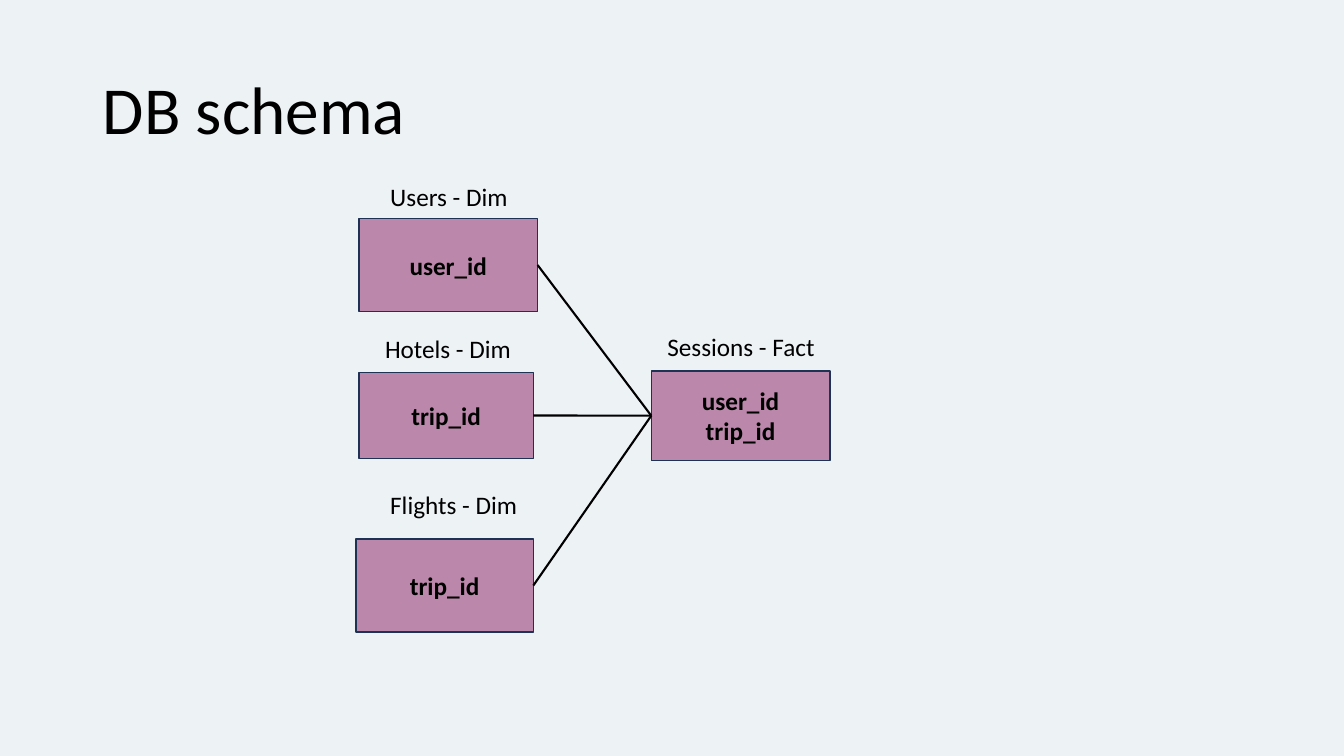
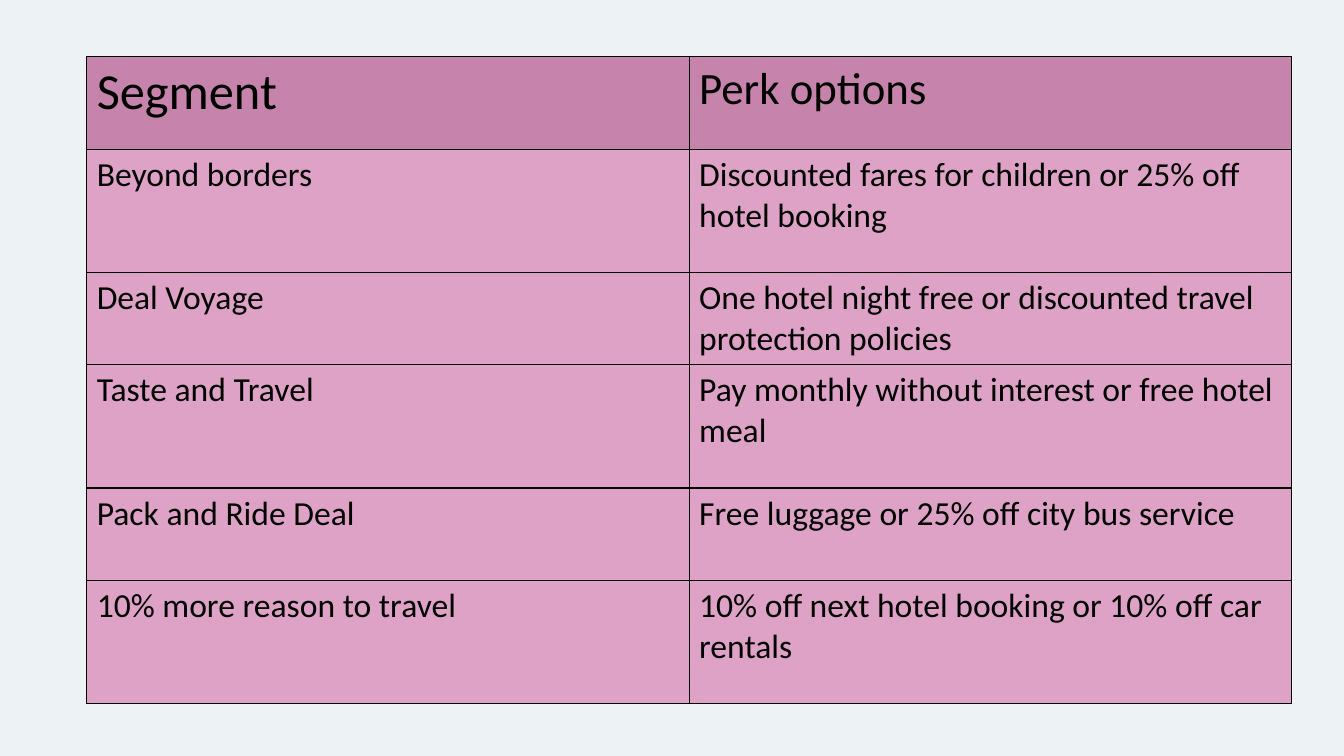
from lxml import etree
from pptx import Presentation, util as u
from pptx.dml.color import RGBColor
from pptx.enum import shapes, text
from pptx.oxml import ns

COLORS = {
    "background": "EDF2F5",
    "ink": "000000",
    "entity": "BB87AA",
    "outline": "1E3256",
    "header": "C683AB",
    "row": "DFA2C7",
}
FONT = "Calibri"
WIDTH, HEIGHT = u.Inches(13.33), u.Inches(7.5)
SLIDE_BOX = (0, 0, WIDTH, HEIGHT)

# Entities: keys, box and label position (left, top, width[, height]) in percent
# of the diagram; the last one is the fact table
LABEL_HEIGHT = 8.8
ENTITIES = [
    ("Users - Dim", ["user_id"], (0.6, 9.3, 37.7, 20.4), (5.1, 0, 29.4)),
    ("Hotels - Dim", ["trip_id"], (0.6, 43.1, 36.8, 18.8), (4, 33.4, 31.1)),
    ("Flights - Dim", ["trip_id"], (0, 79.6, 37.4, 20.4), (5.1, 67.7, 31.3)),
    ("Sessions - Fact", ["user_id", "trip_id"], (62.3, 42.7, 37.7, 19.7), (63.6, 33, 35.7)),
]

PERKS = [
    ("Segment", "Perk options"),
    ("Beyond borders", "Discounted fares for children or 25% off hotel booking"),
    ("Deal Voyage", "One hotel night free or discounted travel protection policies"),
    ("Taste and Travel", "Pay monthly without interest or free hotel meal"),
    ("Pack and Ride Deal", "Free luggage or 25% off city bus service"),
    ("10% more reason to travel", "10% off next hotel booking or 10% off car rentals"),
]
ROW_SHARES = [3, 4, 3, 4, 3, 4]
HEADER_SIZES = (36, 32)
BODY_SIZE = 24


def color(name):
    return RGBColor.from_string(COLORS[name])


def within(box, left, top, width, height):
    """Turn percentages of a box into an absolute box."""
    x, y, w, h = box
    return (int(x + w * left / 100), int(y + h * top / 100),
            int(w * width / 100), int(h * height / 100))


def paint(fill, name):
    fill.solid()
    fill.fore_color.rgb = color(name)


def write(frame, lines, size, bold=False, align=text.PP_ALIGN.LEFT):
    frame.text = "\n".join(lines)
    for paragraph in frame.paragraphs:
        paragraph.alignment = align
        font = paragraph.font
        font.name, font.size, font.bold = FONT, u.Pt(size), bold
        font.color.rgb = color("ink")


def add_title(slide, box, wording):
    title = slide.shapes.title
    title.left, title.top, title.width, title.height = box
    frame = title.text_frame
    frame.vertical_anchor = text.MSO_ANCHOR.MIDDLE
    write(frame, [wording], 48)
    frame.paragraphs[0].line_spacing = 0.9


def add_entity(slide, box, label_box, name, keys):
    entity = slide.shapes.add_shape(shapes.MSO_SHAPE.FLOWCHART_PROCESS, *box)
    entity.shadow.inherit = False
    paint(entity.fill, "entity")
    paint(entity.line.fill, "outline")
    entity.line.width = u.Pt(1)
    entity.text_frame.vertical_anchor = text.MSO_ANCHOR.MIDDLE
    write(entity.text_frame, keys, 18, bold=True, align=text.PP_ALIGN.CENTER)

    label = slide.shapes.add_textbox(*label_box).text_frame
    label.word_wrap = False
    label.auto_size = text.MSO_AUTO_SIZE.SHAPE_TO_FIT_TEXT
    write(label, [name], 18)
    return entity


def join(slide, dimension, fact):
    """Link the right side of a dimension to the left side of the fact table."""
    link = slide.shapes.add_connector(shapes.MSO_CONNECTOR.STRAIGHT, 0, 0, 0, 0)
    link.begin_connect(dimension, 3)
    link.end_connect(fact, 1)
    paint(link.line.fill, "ink")
    link.line.width = u.Pt(1.5)
    etree.SubElement(link._element.spPr, ns.qn("a:effectLst"))


def add_schema(slide, box):
    *dimensions, fact = [
        add_entity(slide, within(box, *place), within(box, *label, LABEL_HEIGHT), name, keys)
        for name, keys, place, label in ENTITIES
    ]
    for dimension in dimensions:
        join(slide, dimension, fact)


def add_borders(cell):
    properties = cell._tc.get_or_add_tcPr()
    for index, side in enumerate(("lnL", "lnR", "lnT", "lnB")):
        border = etree.Element(ns.qn("a:" + side), w=str(u.Pt(1)))
        fill = etree.SubElement(border, ns.qn("a:solidFill"))
        etree.SubElement(fill, ns.qn("a:srgbClr"), val=COLORS["ink"])
        properties.insert(index, border)


def add_perks(slide, box):
    table = slide.shapes.add_table(len(PERKS), len(PERKS[0]), *box).table
    for column in table.columns:
        column.width = box[2] // len(PERKS[0])
    for row, share in zip(table.rows, ROW_SHARES):
        row.height = box[3] * share // sum(ROW_SHARES)
    for r, wordings in enumerate(PERKS):
        for c, wording in enumerate(wordings):
            cell = table.cell(r, c)
            paint(cell.fill, "row" if r else "header")
            add_borders(cell)
            write(cell.text_frame, [wording], BODY_SIZE if r else HEADER_SIZES[c])


def main():
    deck = Presentation()
    deck.slide_width, deck.slide_height = WIDTH, HEIGHT
    paint(deck.slide_master.background.fill, "background")
    title_only, blank = deck.slide_layouts[5], deck.slide_layouts[6]

    # Database schema
    schema = deck.slides.add_slide(title_only)
    add_title(schema, within(SLIDE_BOX, 6.9, 5.3, 86.3, 19.3), "DB schema")
    add_schema(schema, within(SLIDE_BOX, 26.5, 23.3, 35.25, 60.3))

    # Perks by segment
    perks = deck.slides.add_slide(blank)
    add_perks(perks, within(SLIDE_BOX, 6.45, 7.5, 89.65, 85.6))

    deck.save("out.pptx")


if __name__ == "__main__":
    main()
